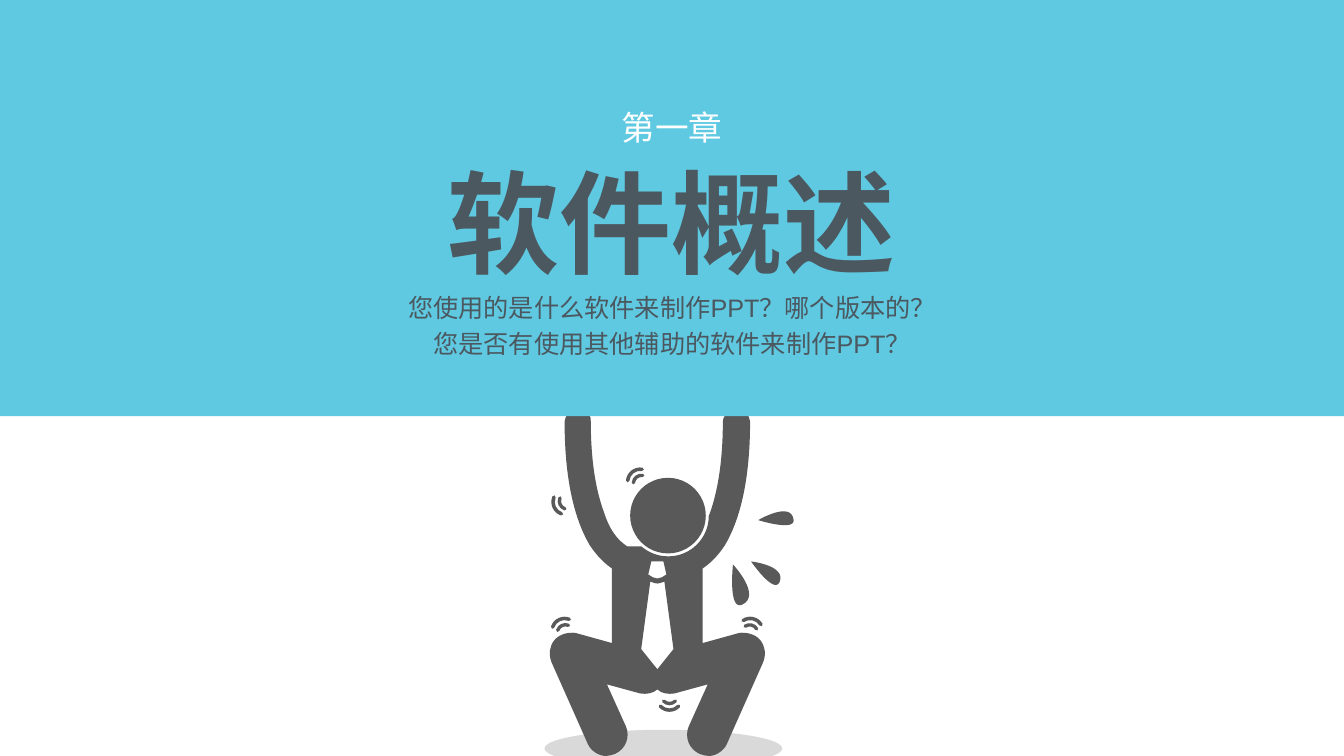
from dataclasses import dataclass
from math import cos, radians, sin, tan
from typing import NamedTuple

from lxml import etree
from pptx import Presentation
from pptx import util as u
from pptx.dml import color as col
from pptx.enum import shapes as kinds, text as txt
from pptx.oxml import ns

Node = tuple[float, ...]


@dataclass(frozen=True)
class Theme:
    sky: str = "5FC9E1"
    man: str = "595959"
    ink: str = "4B5860"
    white: str = "FFFFFF"
    black: str = "000000"
    font: str = "Arial"
    small: int = 18
    mid: int = 24
    big: int = 80


class Mark(NamedTuple):
    """A pair of shake lines around a centre, aimed at an angle."""
    x: float
    y: float
    aim: float


class Line(NamedTuple):
    text: str
    size: int
    hue: str
    bold: bool = False


class Block(NamedTuple):
    box: tuple[float, float, float, float]
    lead: float
    lines: list[Line]


LOOK = Theme()
AXIS = 6.52

# Two numbers are a corner, six are a curve; each half is mirrored at AXIS.
BODY: list[Node] = [
    (6.52, 6.84), (6.56, 6.88, 6.63, 6.89, 6.69, 6.88), (7.02, 6.79),
    (6.83, 7.21), (6.79, 7.31, 6.83, 7.43, 6.94, 7.48),
    (6.97, 7.49, 7, 7.5, 7.03, 7.5), (7.1, 7.5, 7.18, 7.45, 7.21, 7.38),
    (7.57, 6.57), (7.6, 6.49, 7.59, 6.41, 7.54, 6.35),
    (7.49, 6.29, 7.4, 6.27, 7.33, 6.28), (6.97, 6.38), (6.97, 5.64),
    (7.03, 5.6, 7.11, 5.53, 7.19, 5.41), (7.32, 5.19, 7.44, 4.82, 7.44, 4.18),
    (7.44, 4.15, 7.42, 4.12, 7.4, 4.1), (7.47, 4.07, 7.51, 4.02, 7.51, 3.94),
    (7.51, 2.5), (7.51, 2.41, 7.44, 2.33, 7.35, 2.33),
]
KNOT: list[Node] = [
    (6.52, 5.74), (6.55, 5.74, 6.58, 5.72, 6.61, 5.7), (6.58, 5.57)]
TIE: list[Node] = [
    (6.52, 6.64), (6.68, 6.44), (6.59, 5.77),
    (6.56, 5.78, 6.54, 5.79, 6.52, 5.79)]
GAP: list[Node] = [
    (5.86, 4.18), (5.86, 4.16, 5.86, 4.13, 5.84, 4.11), (7.2, 4.11),
    (7.18, 4.13, 7.17, 4.16, 7.17, 4.18), (7.17, 4.64, 7.1, 4.94, 7.03, 5.12),
    (7.03, 5.34, 6.85, 5.52, 6.63, 5.52), (6.52, 5.52, 6.43, 5.48, 6.36, 5.42),
    (6.22, 5.42), (6.21, 5.41, 6.2, 5.41, 6.18, 5.39),
    (6.13, 5.35, 6.05, 5.27, 5.99, 5.08), (5.92, 4.89, 5.86, 4.61, 5.86, 4.18),
]
DROPS: list[list[Node]] = [
    [(7.73, 5.78), (7.81, 5.61, 7.45, 5.57, 7.45, 5.57),
     (7.45, 5.57, 7.67, 5.89, 7.73, 5.78)],
    [(7.87, 5.15), (7.84, 4.97, 7.52, 5.16, 7.52, 5.16),
     (7.52, 5.16, 7.9, 5.28, 7.87, 5.15)],
    [(7.27, 5.6), (7.27, 5.6, 7.22, 6.06, 7.36, 6),
     (7.56, 5.91, 7.27, 5.6, 7.27, 5.6)],
]
MARKS = [
    Mark(5.6, 6.26, 245), Mark(5.61, 4.98, 156), Mark(6.64, 6.92, 90),
    Mark(6.35, 4.78, 232), Mark(7.44, 6.26, 283),
]
BLOCKS = [
    Block((4.32, 0.99, 4.69, 1.94), 1.05, [
        Line("第一章", LOOK.mid, LOOK.white),
        Line("软件概述", LOOK.big, LOOK.ink, True)]),
    Block((3.92, 2.79, 5.49, 0.83), 1.2, [
        Line("您使用的是什么软件来制作PPT？哪个版本的？", LOOK.small, LOOK.ink),
        Line("您是否有使用其他辅助的软件来制作PPT？", LOOK.small, LOOK.ink)]),
]


def pairs(node: Node) -> list[Node]:
    return list(zip(node[::2], node[1::2]))


def mirror(half: list[Node]) -> list[Node]:
    """Add the other half, walked backwards from the end of the first."""
    def flip(spots: list[Node]) -> Node:
        return tuple(v for x, y in spots for v in (2 * AXIS - x, y))

    back = [flip([half[-1]] if len(half[-1]) == 2 else pairs(half[-1])[-1:])]
    for prev, node in reversed(list(zip(half, half[1:]))):
        back.append(flip(pairs(node)[-2::-1] + pairs(prev)[-1:]))
    return half + back


def arc(x: float, y: float, rad: float, start: float, end: float) -> Node:
    """Give a circular arc as one curve, without its first point."""
    a, b = radians(start), radians(end)
    pull = 4 / 3 * tan((b - a) / 4)
    return (x + rad * (cos(a) - pull * sin(a)), y + rad * (sin(a) + pull * cos(a)),
            x + rad * (cos(b) + pull * sin(b)), y + rad * (sin(b) - pull * cos(b)),
            x + rad * cos(b), y + rad * sin(b))


def stroke(x: float, y: float, rad: float, aim: float) -> list[Node]:
    """Outline a thick arc with round ends."""
    half, start, end = 0.017, aim - 47, aim + 47
    head, tail = (arc(x, y, rad, aim, a)[4:] for a in (start, end))
    last = arc(*head, half, start + 180, start + 360)
    return [last[4:], arc(x, y, rad + half, start, end),
            arc(*tail, half, end, end + 180),
            arc(x, y, rad - half, end, start), last]


def paint(shape, hue: str) -> None:
    shape.shadow.inherit = False
    shape.fill.solid()
    shape.fill.fore_color.rgb = col.RGBColor.from_string(hue)
    shape.line.fill.background()


def draw(tree, *rings: list[Node]) -> None:
    """Fill the first ring, with any later rings cut out."""
    pen = None
    for ring in rings:
        spots = [(u.Inches(x), u.Inches(y)) for n in ring for x, y in pairs(n)]
        if pen is None:
            pen = tree.build_freeform(*spots[0])
        else:
            pen.move_to(*spots[0])
        pen.add_line_segments(spots[1:], close=True)
    shape = pen.convert_to_shape()
    paint(shape, LOOK.man)
    legs = iter(list(shape._element.iter(ns.qn("a:lnTo"))))
    for node in (n for ring in rings for n in ring[1:]):
        trio = [next(legs) for _ in pairs(node)]
        if len(trio) == 3:
            curve = etree.Element(ns.qn("a:cubicBezTo"))
            trio[0].addprevious(curve)
            for leg in trio:
                curve.append(leg[0])
                leg.getparent().remove(leg)


def place(tree, kind, box: tuple[float, ...], hue: str):
    shape = tree.add_shape(kind, *map(u.Inches, box))
    paint(shape, hue)
    return shape


def write(tree, block: Block) -> None:
    frame = tree.add_textbox(*map(u.Inches, block.box)).text_frame
    frame.word_wrap = False
    frame.auto_size = txt.MSO_AUTO_SIZE.SHAPE_TO_FIT_TEXT
    for i, line in enumerate(block.lines):
        para = frame.add_paragraph() if i else frame.paragraphs[0]
        para.alignment = txt.PP_ALIGN.CENTER
        para.line_spacing = block.lead
        run = para.add_run()
        run.text = line.text
        run.font.name = LOOK.font
        run.font.size = u.Pt(line.size)
        run.font.bold = line.bold
        run.font.color.rgb = col.RGBColor.from_string(line.hue)


def main() -> None:
    deck = Presentation()
    deck.slide_width, deck.slide_height = u.Inches(13.33), u.Inches(7.5)
    tree = deck.slides.add_slide(deck.slide_layouts[6]).shapes
    oval, rect = kinds.MSO_SHAPE.OVAL, kinds.MSO_SHAPE.RECTANGLE

    shade = place(tree, oval, (5.4, 7.24, 2.36, 0.37), LOOK.black)
    tint = shade._element.spPr.find(".//" + ns.qn("a:srgbClr"))
    etree.SubElement(tint, ns.qn("a:alpha")).set("val", "15000")

    man = tree.add_group_shape().shapes
    draw(man, mirror(BODY), GAP, mirror(KNOT), mirror(TIE))
    place(man, oval, (6.25, 4.74, 0.75, 0.75), LOOK.man)
    for drop in DROPS:
        draw(man, drop)
    for x, y, aim in MARKS:
        draw(man, stroke(x, y, 0.125, aim))
        back = radians(aim + 180)
        draw(man, stroke(x + 0.02 * cos(back), y + 0.02 * sin(back), 0.08, aim))

    place(tree, rect, (0, 0, 13.33, 4.13), LOOK.sky)
    for block in BLOCKS:
        write(tree, block)
    deck.save("out.pptx")


if __name__ == "__main__":
    main()
